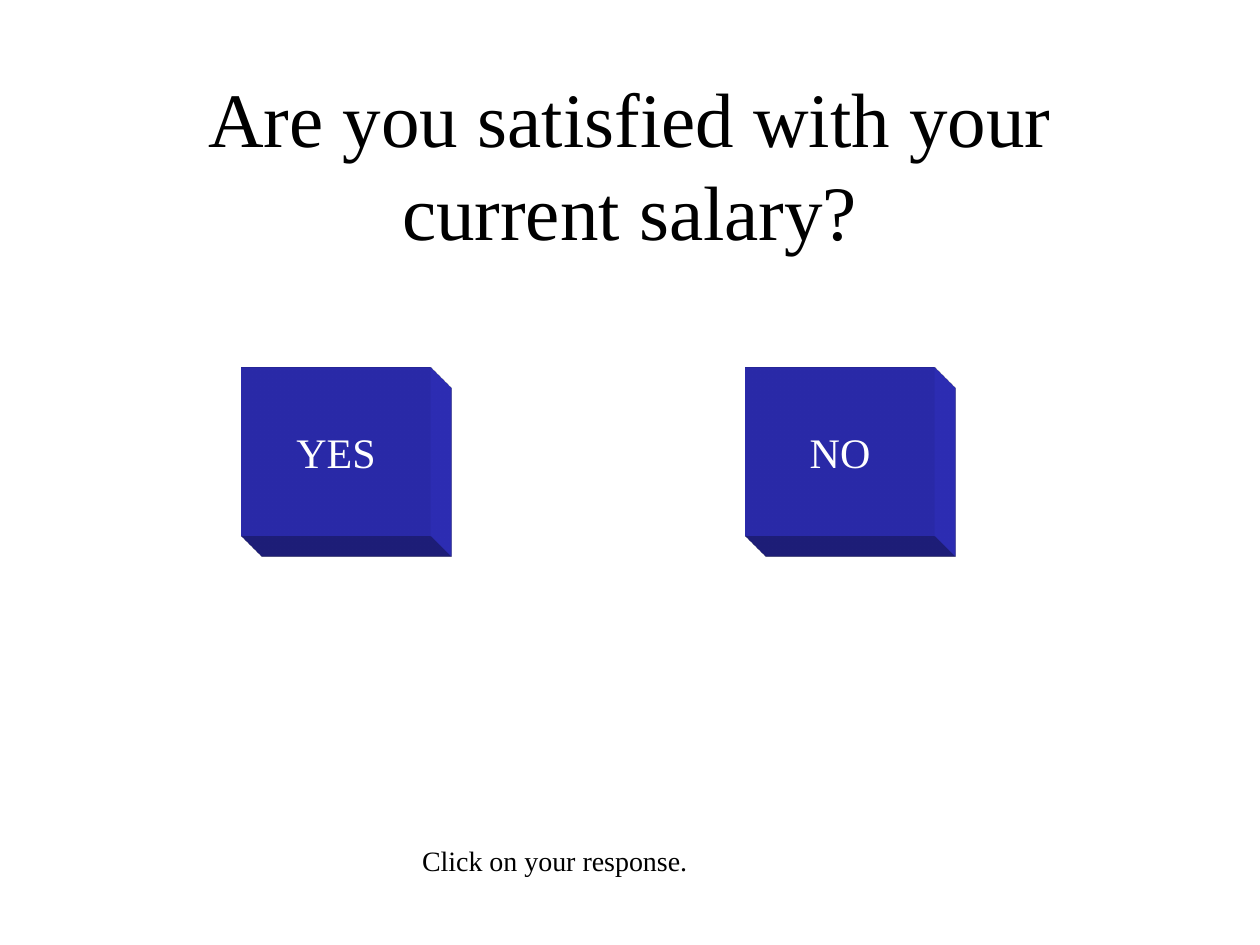
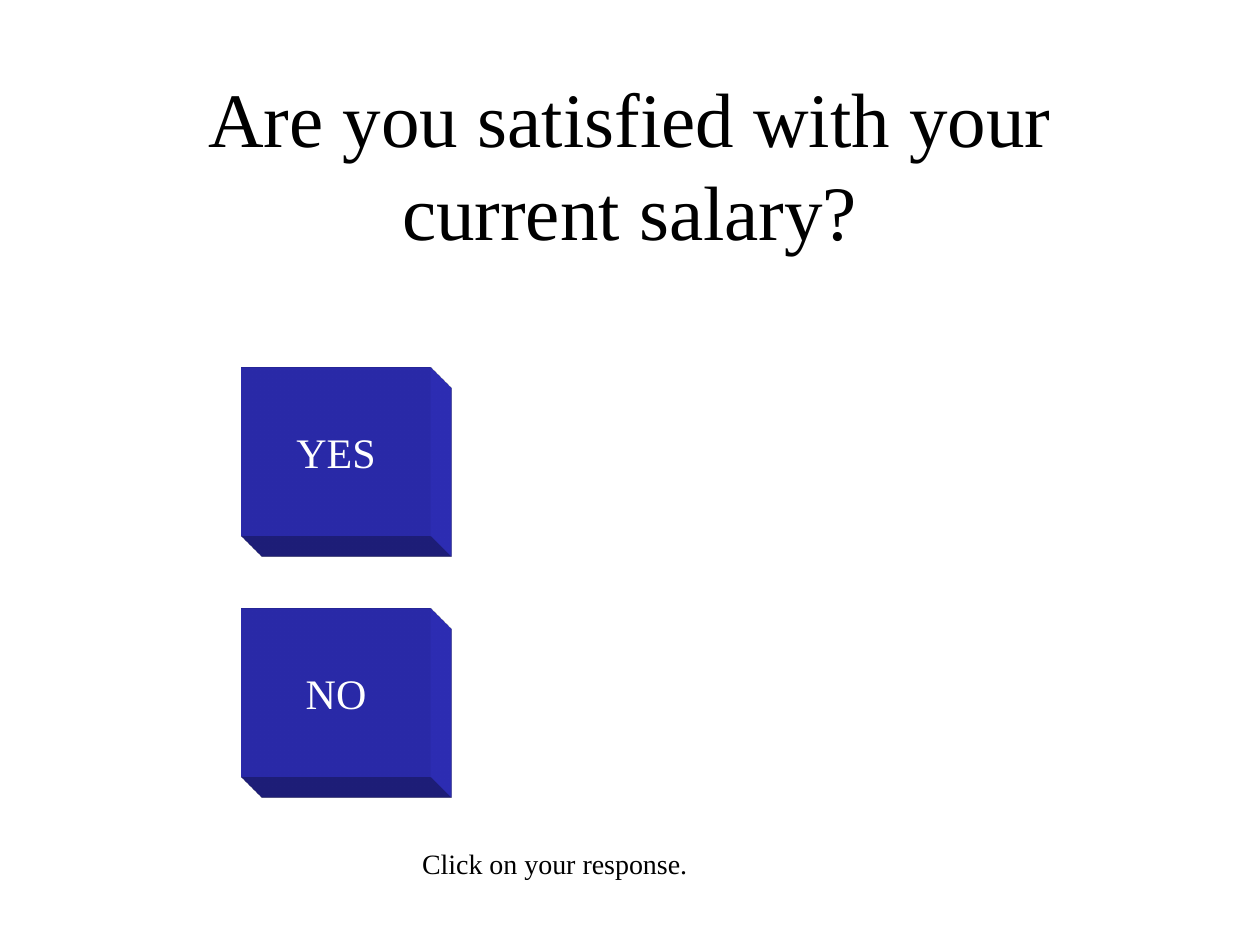
from lxml import etree
from pptx import Presentation
from pptx.dml.color import RGBColor
from pptx.enum.shapes import MSO_SHAPE
from pptx.enum.text import MSO_ANCHOR, MSO_AUTO_SIZE, PP_ALIGN
from pptx.util import Cm, Pt

# Content: where each answer button and the hint sit, in cm
QUESTION = "Are you satisfied with your current salary?"
HINT = "Click on your response."
ANSWERS = ("YES", "NO")
FIRST_BUTTON = (4.87, 7.41)
LAYOUTS = [
    {"button_step": (10.16, 0), "hint_top": 16.89},
    {"button_step": (0, 4.86), "hint_top": 16.94},
]

# Shared style
FONT = "Times New Roman"
BLACK = RGBColor(0x00, 0x00, 0x00)
WHITE = RGBColor(0xFF, 0xFF, 0xFF)
BUTTON_BLUE = RGBColor(0x33, 0x33, 0xCC)
RECTANGLE = MSO_SHAPE.RECTANGLE
MIDDLE = MSO_ANCHOR.MIDDLE
NO_FIT, GROW = MSO_AUTO_SIZE.NONE, MSO_AUTO_SIZE.SHAPE_TO_FIT_TEXT
LEFT, CENTER = PP_ALIGN.LEFT, PP_ALIGN.CENTER
TITLE_ONLY = 5
DRAWING_NS = "http://schemas.openxmlformats.org/drawingml/2006/main"
BUTTON_DEPTH = (
    f'<a:scene3d xmlns:a="{DRAWING_NS}">'
    '<a:camera prst="legacyObliqueBottomRight"/>'
    '<a:lightRig rig="legacyFlat3" dir="t"/></a:scene3d>',
    f'<a:sp3d xmlns:a="{DRAWING_NS}" extrusionH="430200" prstMaterial="legacyMatte">'
    '<a:bevelT w="13500" h="13500" prst="angle"/>'
    '<a:bevelB w="13500" h="13500" prst="angle"/>'
    f'<a:extrusionClr><a:srgbClr val="{BUTTON_BLUE}"/></a:extrusionClr></a:sp3d>',
)


def write(frame, text, size, color, align):
    frame.text = text
    paragraph = frame.paragraphs[0]
    paragraph.alignment = align
    font = paragraph.runs[0].font
    font.name, font.size, font.color.rgb = FONT, Pt(size), color


def add_question(slide):
    title = slide.shapes.title
    title.left, title.top = Cm(1.9), Cm(1.7)
    title.width, title.height = Cm(21.6), Cm(3.18)
    title.text_frame.auto_size = NO_FIT
    title.text_frame.vertical_anchor = MIDDLE
    write(title.text_frame, QUESTION, 44, BLACK, CENTER)


def add_button(slide, answer, left, top):
    button = slide.shapes.add_shape(RECTANGLE, Cm(left), Cm(top), Cm(3.81), Cm(3.39))
    button.shadow.inherit = False
    button.fill.solid()
    button.fill.fore_color.rgb = BUTTON_BLUE
    button.line.fill.background()
    for depth_xml in BUTTON_DEPTH:
        button._element.spPr.append(etree.fromstring(depth_xml))
    button.text_frame.word_wrap = False
    button.text_frame.vertical_anchor = MIDDLE
    write(button.text_frame, answer, 24, WHITE, CENTER)


def add_hint(slide, top):
    hint = slide.shapes.add_textbox(Cm(8.26), Cm(top), Cm(5.89), Cm(0.94))
    hint.text_frame.word_wrap = False
    hint.text_frame.auto_size = GROW
    write(hint.text_frame, HINT, 16, BLACK, LEFT)


def main():
    deck = Presentation()
    deck.slide_width, deck.slide_height = Cm(25.4), Cm(19.05)
    for layout in LAYOUTS:
        slide = deck.slides.add_slide(deck.slide_layouts[TITLE_ONLY])
        add_question(slide)
        left, top = FIRST_BUTTON
        step_x, step_y = layout["button_step"]
        for i, answer in enumerate(ANSWERS):
            add_button(slide, answer, left + i * step_x, top + i * step_y)
        add_hint(slide, layout["hint_top"])
    deck.save("out.pptx")


if __name__ == "__main__":
    main()
